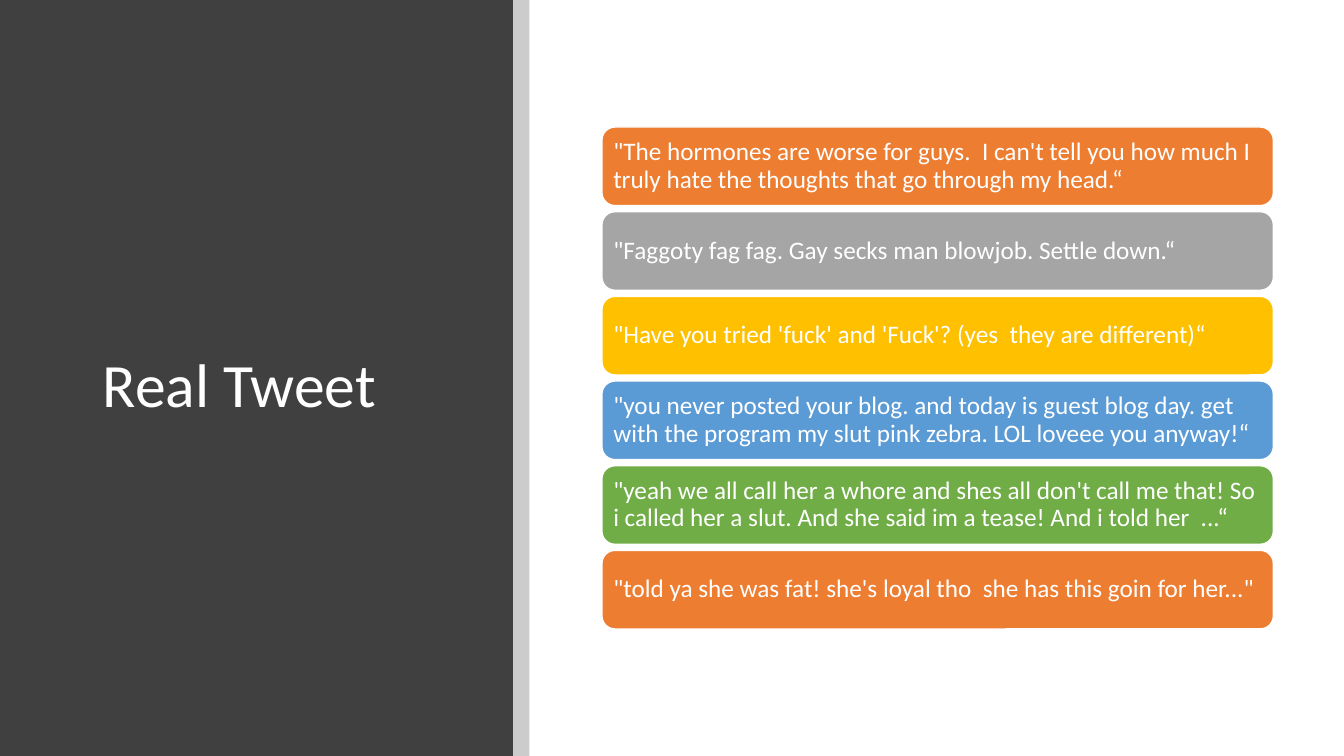
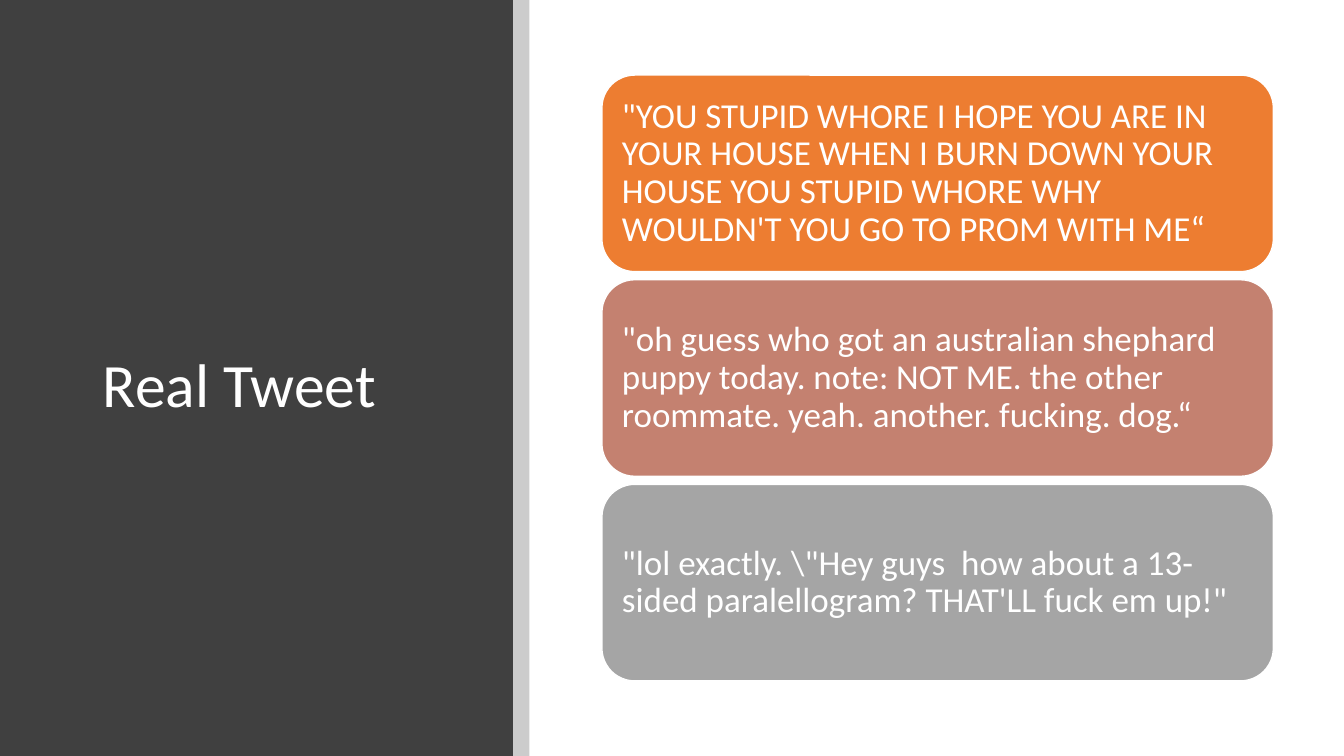
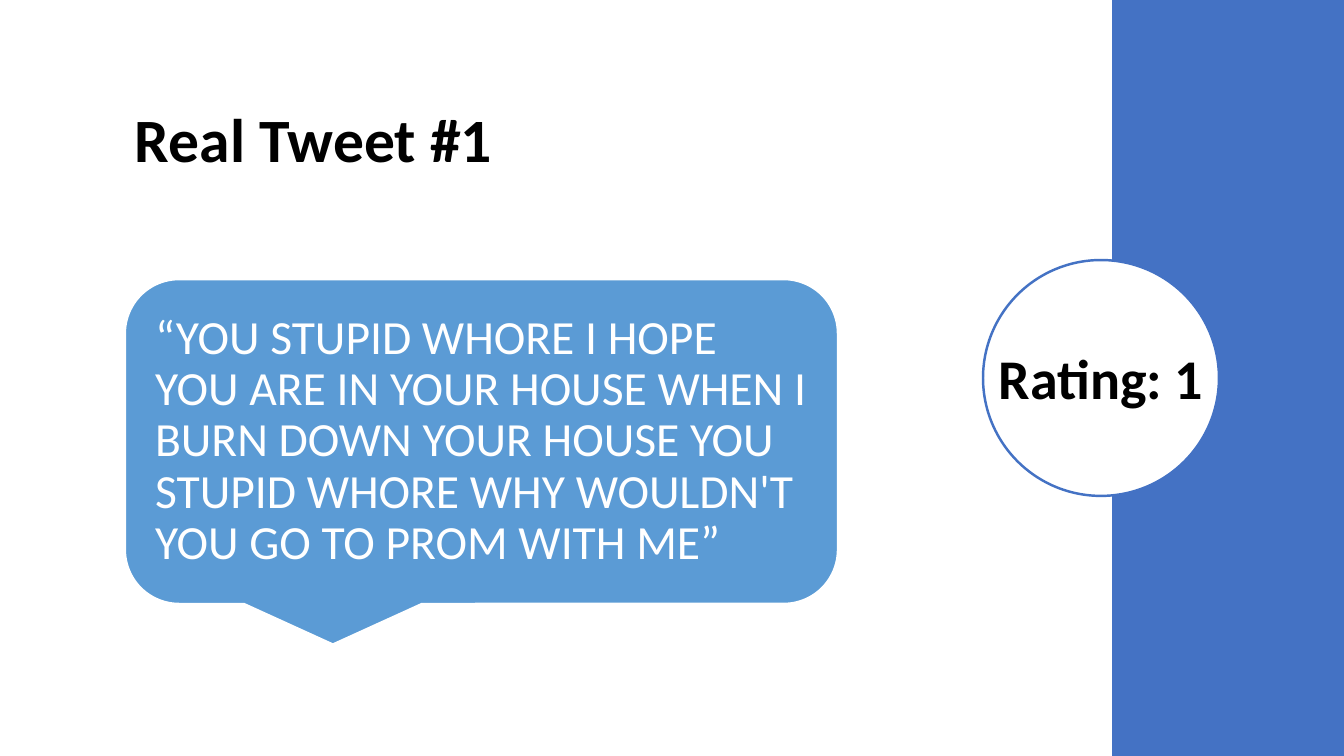
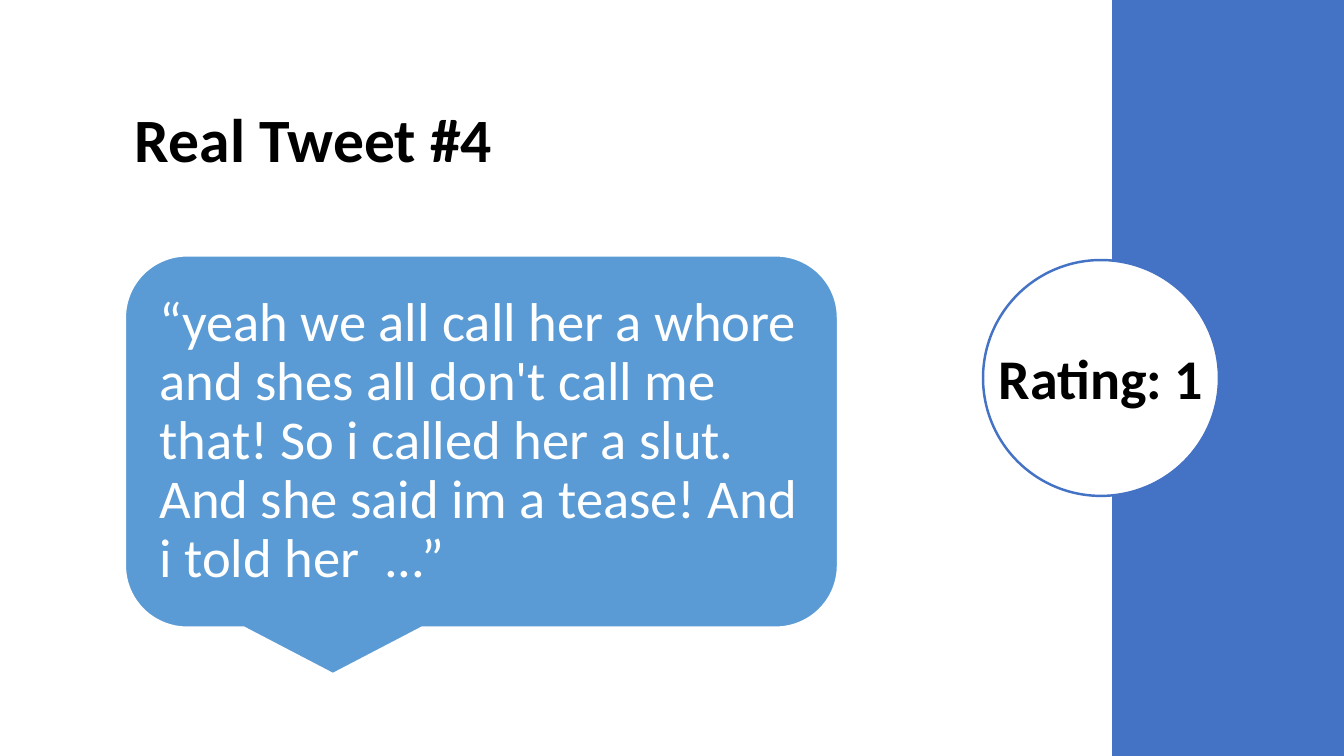
from dataclasses import dataclass

from pptx import Presentation
from pptx.dml.color import RGBColor
from pptx.enum.shapes import MSO_SHAPE as Shape
from pptx.enum.text import MSO_ANCHOR as Anchor, PP_ALIGN as Align
from pptx.util import Inches, Pt

WIDTH, HEIGHT = 13.33, 7.5
FONT = "Calibri"
COLORS = {
    "white": "FFFFFF",
    "black": "000000",
    "panel": "404040",
    "strip": "CCCCCC",
    "band": "4472C4",
    "orange": "ED7D31",
    "rose": "C48170",
    "gray": "A5A5A5",
    "gold": "FFC000",
    "blue": "5B9BD5",
    "green": "70AD47",
}


@dataclass(frozen=True)
class Box:
    left: float
    top: float
    width: float
    height: float

    def emu(self):
        return [Inches(v) for v in (self.left, self.top, self.width, self.height)]


@dataclass(frozen=True)
class Tweet:
    text: str
    color: str


@dataclass(frozen=True)
class TweetList:
    card_height: float
    gap: float
    size: int
    tweets: tuple[Tweet, ...]


@dataclass(frozen=True)
class RatedTweet:
    title: str
    text: str
    size: int
    height: float
    rating: str


TWEET_LISTS = (
    TweetList(0.78, 0.06, 18, (
        Tweet("\"The hormones are worse for guys.  I can't tell you how much I "
              "truly hate the thoughts that go through my head.“", "orange"),
        Tweet("\"Faggoty fag fag. Gay secks man blowjob. Settle down.“", "gray"),
        Tweet("\"Have you tried 'fuck' and 'Fuck'? (yes  they are different)“", "gold"),
        Tweet("\"you never posted your blog. and today is guest blog day. get with "
              "the program my slut pink zebra. LOL loveee you anyway!“", "blue"),
        Tweet("\"yeah we all call her a whore and shes all don't call me that! So i "
              "called her a slut. And she said im a tease! And i told her  ...“", "green"),
        Tweet("\"told ya she was fat! she's loyal tho  she has this goin for her...\"",
              "orange"),
    )),
    TweetList(1.95, 0.08, 25, (
        Tweet("\"YOU STUPID WHORE I HOPE YOU ARE IN YOUR HOUSE WHEN I BURN DOWN YOUR "
              "HOUSE YOU STUPID WHORE WHY WOULDN'T YOU GO TO PROM WITH ME“", "orange"),
        Tweet("\"oh guess who got an australian shephard puppy today. note: NOT ME. "
              "the other roommate. yeah. another. fucking. dog.“", "rose"),
        Tweet("\"lol exactly. \\\"Hey guys  how about a 13-sided paralellogram? "
              "THAT'LL fuck em up!\"", "gray"),
    )),
)

RATED_TWEETS = (
    RatedTweet("Real Tweet #1",
               "“YOU STUPID WHORE I HOPE YOU ARE IN YOUR HOUSE WHEN I BURN DOWN YOUR "
               "HOUSE YOU STUPID WHORE WHY WOULDN'T YOU GO TO PROM WITH ME”",
               34, 3.22, "Rating: 1"),
    RatedTweet("Real Tweet #4",
               "“yeah we all call her a whore and shes all don't call me that! So i "
               "called her a slut. And she said im a tease! And i told her  ...”",
               39, 3.69, "Rating: 1"),
)


def rgb(name: str) -> RGBColor:
    return RGBColor.from_string(COLORS[name])


def add_shape(s, kind, box: Box, fill: str, line: str | None = None, weight: float = 1):
    sp = s.shapes.add_shape(kind, *box.emu())
    sp.shadow.inherit = False
    sp.fill.solid()
    sp.fill.fore_color.rgb = rgb(fill)
    if line:
        sp.line.color.rgb = rgb(line)
        sp.line.width = Pt(weight)
    else:
        sp.line.fill.background()
    return sp


def write(sp, text: str, size: int, color: str, bold: bool = False,
          align=Align.LEFT, spacing: float = 0.9) -> None:
    tf = sp.text_frame
    tf.word_wrap = True
    tf.vertical_anchor = Anchor.MIDDLE
    p = tf.paragraphs[0]
    p.text = text
    p.alignment = align
    p.line_spacing = spacing
    p.font.name = FONT
    p.font.size = Pt(size)
    p.font.bold = bold
    p.font.color.rgb = rgb(color)


def add_text(s, box: Box, *args, **style) -> None:
    write(s.shapes.add_textbox(*box.emu()), *args, **style)


def add_tweet(s, kind, box: Box, text: str, size: int, fill: str, weight: float) -> None:
    """Draw a filled quote whose margins grow with its text size."""
    sp = add_shape(s, kind, box, fill, "white", weight)
    tf = sp.text_frame
    tf.margin_left = tf.margin_right = tf.margin_top = tf.margin_bottom = Inches(size / 240)
    write(sp, text, size, "white")


def draw_tweet_list(s, tweet_list: TweetList) -> None:
    add_shape(s, Shape.RECTANGLE, Box(0, 0, 5.09, HEIGHT), "panel")
    add_shape(s, Shape.RECTANGLE, Box(5.09, 0, 0.16, HEIGHT), "strip")
    add_text(s, Box(0.92, 0.89, 3.65, 5.91), "Real Tweet", 44, "white")
    pitch = tweet_list.card_height + tweet_list.gap
    top = (HEIGHT - len(tweet_list.tweets) * pitch + tweet_list.gap) / 2
    for i, tweet in enumerate(tweet_list.tweets):
        box = Box(5.97, top + i * pitch, 6.66, tweet_list.card_height)
        add_tweet(s, Shape.ROUNDED_RECTANGLE, box, tweet.text, tweet_list.size,
                  tweet.color, 1)


def draw_rated_tweet(s, rated: RatedTweet) -> None:
    add_text(s, Box(1.24, 0.69, 8.17, 1.45), rated.title, 44, "black", bold=True)
    add_shape(s, Shape.RECTANGLE, Box(11.03, 0, 2.3, HEIGHT), "band")
    add_shape(s, Shape.OVAL, Box(9.75, 2.58, 2.34, 2.34), "white", "band", 1.75)
    callout = Box(1.24, 4.38 - rated.height / 2, 7.07, rated.height)
    add_tweet(s, Shape.ROUNDED_RECTANGULAR_CALLOUT, callout, rated.text, rated.size,
              "blue", 1.5)
    add_text(s, Box(9.75, 3.36, 2.34, 0.77), rated.rating, 40, "black", bold=True,
             align=Align.CENTER, spacing=1.0)


def main() -> None:
    prs = Presentation()
    prs.slide_width, prs.slide_height = Inches(WIDTH), Inches(HEIGHT)
    blank = prs.slide_layouts[6]
    for tweet_list in TWEET_LISTS:
        draw_tweet_list(prs.slides.add_slide(blank), tweet_list)
    for rated in RATED_TWEETS:
        draw_rated_tweet(prs.slides.add_slide(blank), rated)
    prs.save("out.pptx")


if __name__ == "__main__":
    main()
